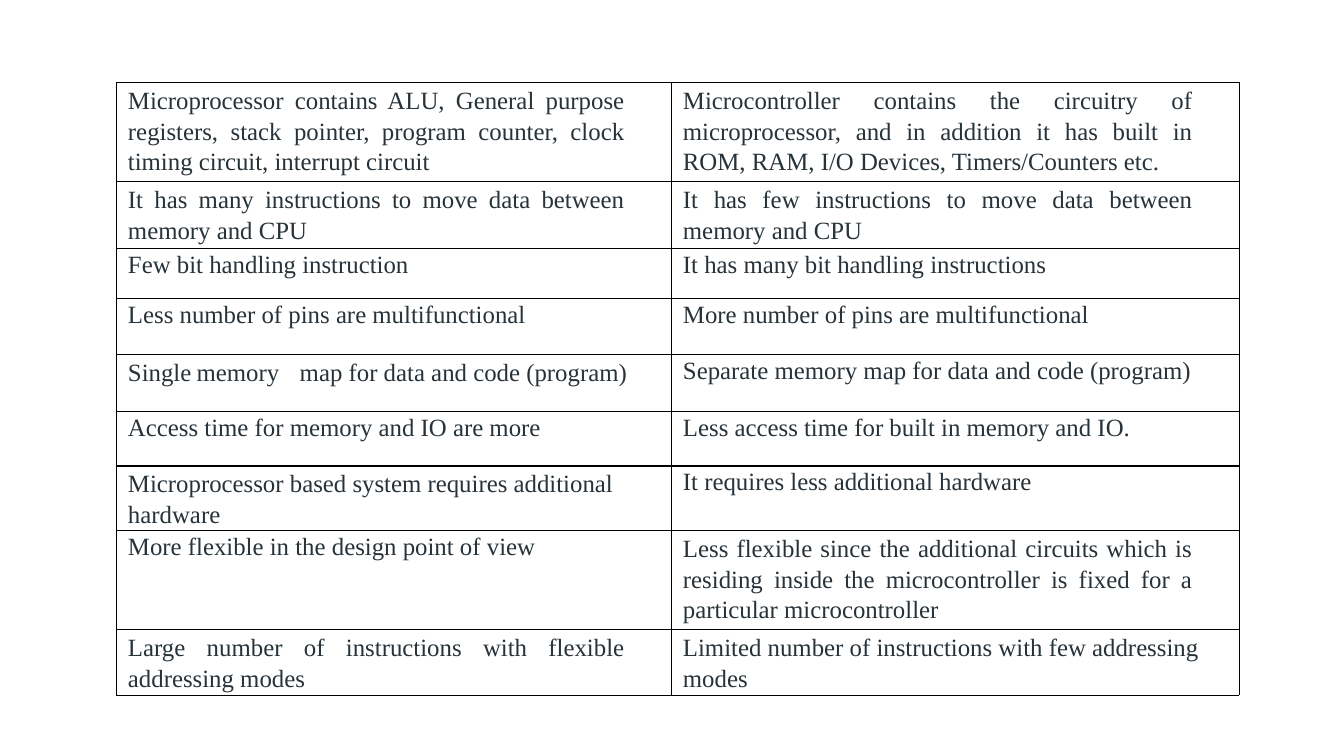
"""Build a slide comparing microprocessors and microcontrollers in two stacked tables."""
import pptx
import pptx.dml.color
import pptx.enum.text
import pptx.oxml
import pptx.oxml.ns
import pptx.util

EMU_PER_PX = 13310
SLIDE_SIZE = (1344, 756)
TABLE_LEFT = 116
COLUMN_WIDTHS = (555, 568)
CELL_MARGIN = 7
TOP_MARGIN = 3
JUSTIFIED_MARGIN = 46
PARAGRAPH_INDENT = 5
TAB_STOPS = (82, 177)

THEME = {
    "font": "Times New Roman",
    "size": 26,
    "text": "273239",
    "border": "000000",
    "border_width": 0.28,
}

STYLES = {
    "single": {"spacing": 1.0, "justified": False},
    "wrapped": {"spacing": 1.1, "justified": False},
    "justified": {"spacing": 1.1, "justified": True},
}

TABLES = [
    {"top": 82, "rows": [
        (99,
         ("justified", "Microprocessor contains ALU, General purpose registers, stack pointer, "
                       "program counter, clock timing circuit, interrupt circuit"),
         ("justified", "Microcontroller contains the circuitry of microprocessor, and in addition "
                       "it has built in ROM, RAM, I/O Devices, Timers/Counters etc.")),
        (67,
         ("justified", "It has many instructions to move data between memory and CPU"),
         ("justified", "It has few instructions to move data between memory and CPU")),
        (50,
         ("single", "Few bit handling instruction"),
         ("single", "It has many bit handling instructions")),
        (56,
         ("single", "Less number of pins are multifunctional"),
         ("single", "More number of pins are multifunctional")),
        (57,
         ("wrapped", "Single\tmemory\tmap for data and code (program)"),
         ("single", "Separate memory map for data and code (program)")),
        (55,
         ("single", "Access time for memory and IO are more"),
         ("single", "Less access time for built in memory and IO.")),
    ]},
    {"top": 465, "rows": [
        (65,
         ("wrapped", "Microprocessor based system requires additional hardware"),
         ("single", "It requires less additional hardware")),
        (99,
         ("single", "More flexible in the design point of view"),
         ("justified", "Less flexible since the additional circuits which is residing inside the "
                       "microcontroller is fixed for a particular microcontroller")),
        (66,
         ("justified", "Large number of instructions with flexible addressing modes"),
         ("wrapped", "Limited number of instructions with few addressing modes")),
    ]},
]


def px(length):
    return pptx.util.Emu(length * EMU_PER_PX)


def add_element(parent, tag, **attributes):
    element = pptx.oxml.parse_xml(f"<a:{tag} {pptx.oxml.ns.nsdecls('a')}/>")
    for name, value in attributes.items():
        element.set(name, str(value))
    parent.append(element)
    return element


def format_paragraph(paragraph, style):
    properties = paragraph._p.get_or_add_pPr()
    properties.set("marL", str(px(PARAGRAPH_INDENT)))
    properties.set("indent", "0")
    if "\t" in paragraph.text:
        tabs = add_element(properties, "tabLst")
        for stop in TAB_STOPS:
            add_element(tabs, "tab", pos=px(stop), algn="l")
    paragraph.line_spacing = style["spacing"]
    alignment = pptx.enum.text.PP_ALIGN
    paragraph.alignment = alignment.JUSTIFY if style["justified"] else alignment.LEFT
    for run in paragraph.runs:
        run.font.name = THEME["font"]
        run.font.size = pptx.util.Pt(THEME["size"])
        run.font.color.rgb = pptx.dml.color.RGBColor.from_string(THEME["text"])


def add_borders(cell):
    properties = cell._tc.get_or_add_tcPr()
    for side in ("lnL", "lnR", "lnT", "lnB"):
        line = add_element(properties, side, w=pptx.util.Pt(THEME["border_width"]))
        add_element(add_element(line, "solidFill"), "srgbClr", val=THEME["border"])


def fill_cell(cell, style_name, text):
    style = STYLES[style_name]
    cell.margin_left = px(CELL_MARGIN)
    cell.margin_right = px(JUSTIFIED_MARGIN if style["justified"] else CELL_MARGIN)
    cell.margin_top = px(TOP_MARGIN)
    cell.margin_bottom = 0
    cell.vertical_anchor = pptx.enum.text.MSO_ANCHOR.TOP
    add_borders(cell)
    cell.fill.background()
    cell.text_frame.text = text
    format_paragraph(cell.text_frame.paragraphs[0], style)


def add_comparison(slide, top, rows):
    height = sum(row[0] for row in rows)
    frame = slide.shapes.add_table(
        len(rows), len(COLUMN_WIDTHS),
        px(TABLE_LEFT), px(top), px(sum(COLUMN_WIDTHS)), px(height))
    table = frame.table
    table.first_row = False
    table.horz_banding = False
    for column, width in zip(table.columns, COLUMN_WIDTHS):
        column.width = px(width)
    for table_row, (row_height, *entries) in zip(table.rows, rows):
        table_row.height = px(row_height)
        for cell, (style_name, text) in zip(table_row.cells, entries):
            fill_cell(cell, style_name, text)


def main():
    presentation = pptx.Presentation()
    presentation.slide_width, presentation.slide_height = map(px, SLIDE_SIZE)
    slide = presentation.slides.add_slide(presentation.slide_layouts.get_by_name("Blank"))
    for comparison in TABLES:
        add_comparison(slide, comparison["top"], comparison["rows"])
    presentation.save("out.pptx")


if __name__ == "__main__":
    main()
